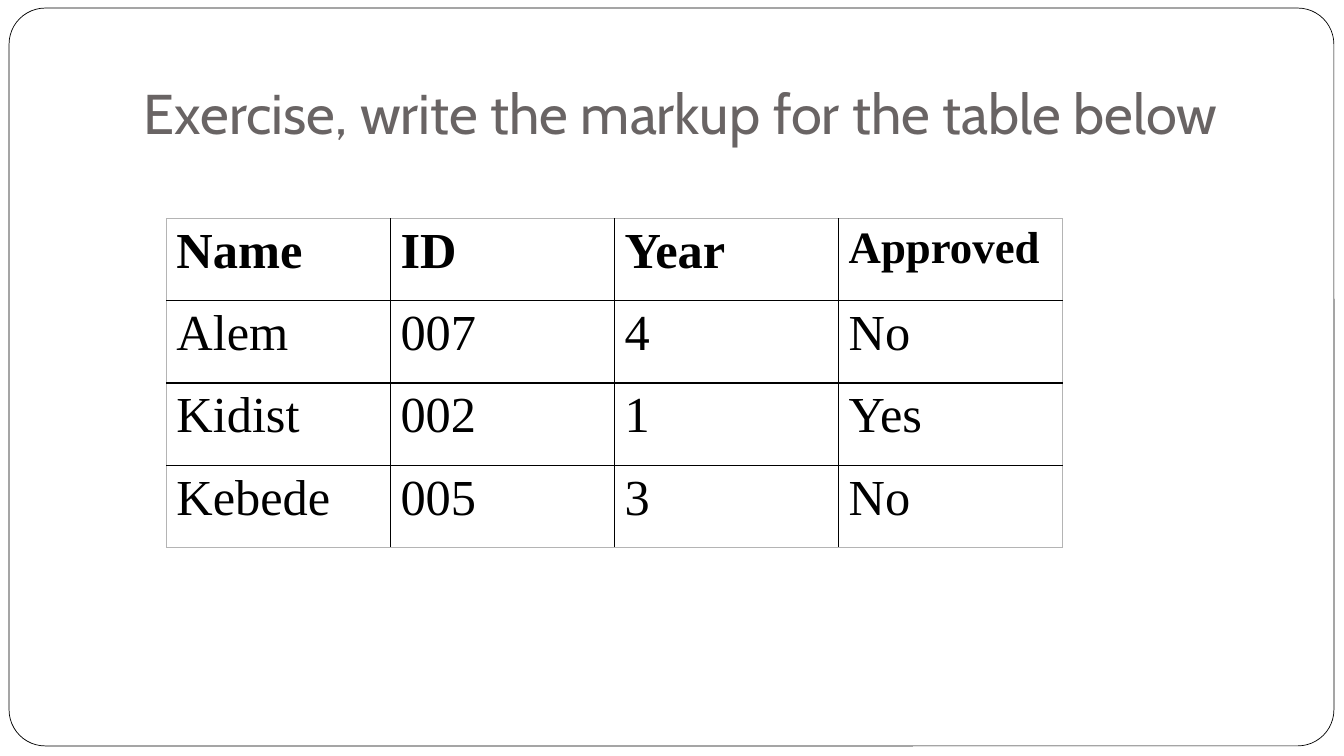
from dataclasses import dataclass

from lxml.etree import SubElement
from pptx import Presentation
from pptx.dml.color import RGBColor
from pptx.enum.shapes import MSO_SHAPE
from pptx.enum.text import MSO_ANCHOR
from pptx.oxml.ns import qn
from pptx.slide import Slide
from pptx.table import _Cell
from pptx.text.text import _Paragraph
from pptx.util import Inches, Pt


@dataclass(frozen=True)
class Theme:
    black: str = "000000"
    white: str = "FFFFFF"
    title_gray: str = "696464"
    edge_gray: str = "B4B4B4"
    title_font: str = "Cabin"
    table_font: str = "Times New Roman"
    title_size: int = 40
    cell_size: int = 36
    long_header_size: int = 32
    frame_line: float = 0.5
    grid_line: float = 1
    edge_line: float = 0.5


@dataclass(frozen=True)
class Box:
    left: float
    top: float
    width: float
    height: float

    def lengths(self) -> tuple:
        return tuple(Inches(n) for n in (self.left, self.top, self.width, self.height))


@dataclass(frozen=True)
class TextStyle:
    font: str
    size: int
    color: str
    bold: bool = False


THEME = Theme()
FRAME = Box(0.09, 0.08, 13.14, 7.32)
TITLE = Box(1.33, 0.3, 11.33, 1.25)
TABLE = Box(1.65, 2.17, 8.89, 3.26)
STUDENTS = [
    ["Name", "ID", "Year", "Approved"],
    ["Alem", "007", "4", "No"],
    ["Kidist", "002", "1", "Yes"],
    ["Kebede", "005", "3", "No"],
]


def style_paragraph(paragraph: _Paragraph, style: TextStyle) -> None:
    for run in paragraph.runs:
        run.font.name = style.font
        run.font.size = Pt(style.size)
        run.font.bold = style.bold
        run.font.color.rgb = RGBColor.from_string(style.color)


def add_frame(slide: Slide) -> None:
    shape = slide.shapes.add_shape(MSO_SHAPE.ROUNDED_RECTANGLE, *FRAME.lengths())
    shape.adjustments[0] = 0.049
    shape.shadow.inherit = False
    shape.fill.solid()
    shape.fill.fore_color.rgb = RGBColor.from_string(THEME.white)
    shape.line.color.rgb = RGBColor.from_string(THEME.black)
    shape.line.width = Pt(THEME.frame_line)


def add_title(slide: Slide, text: str) -> None:
    text_frame = slide.shapes.add_textbox(*TITLE.lengths()).text_frame
    text_frame.word_wrap = True
    text_frame.vertical_anchor = MSO_ANCHOR.BOTTOM
    text_frame.margin_bottom = Inches(0.1)
    text_frame.text = text
    style = TextStyle(THEME.title_font, THEME.title_size, THEME.title_gray)
    style_paragraph(text_frame.paragraphs[0], style)


def set_borders(cell: _Cell, outer_sides: dict[str, bool]) -> None:
    properties = cell._tc.get_or_add_tcPr()
    for side, is_outer in outer_sides.items():
        width = THEME.edge_line if is_outer else THEME.grid_line
        color = THEME.edge_gray if is_outer else THEME.black
        line = SubElement(properties, qn(f"a:ln{side}"), w=str(Pt(width)))
        SubElement(SubElement(line, qn("a:solidFill")), qn("a:srgbClr"), val=color)


def add_student_table(slide: Slide, rows: list[list[str]]) -> None:
    row_count, column_count = len(rows), len(rows[0])
    table = slide.shapes.add_table(row_count, column_count, *TABLE.lengths()).table
    table.horz_banding = False
    for row_index, row in enumerate(rows):
        for column_index, text in enumerate(row):
            cell = table.cell(row_index, column_index)
            cell.text_frame.text = text
            size = THEME.long_header_size if text == "Approved" else THEME.cell_size
            style = TextStyle(THEME.table_font, size, THEME.black, row_index == 0)
            style_paragraph(cell.text_frame.paragraphs[0], style)
            # Gray outer edge, black inner grid
            set_borders(cell, {
                "L": column_index == 0,
                "R": column_index == column_count - 1,
                "T": row_index == 0,
                "B": row_index == row_count - 1,
            })
            cell.fill.background()


def main() -> None:
    presentation = Presentation()
    presentation.slide_width = Inches(13.33)
    presentation.slide_height = Inches(7.5)
    slide = presentation.slides.add_slide(presentation.slide_layouts[6])

    # Rounded page frame
    add_frame(slide)
    # Heading
    add_title(slide, "Exercise, write the markup for the table below")
    # Table to be written as markup
    add_student_table(slide, STUDENTS)

    presentation.save("out.pptx")


if __name__ == "__main__":
    main()
